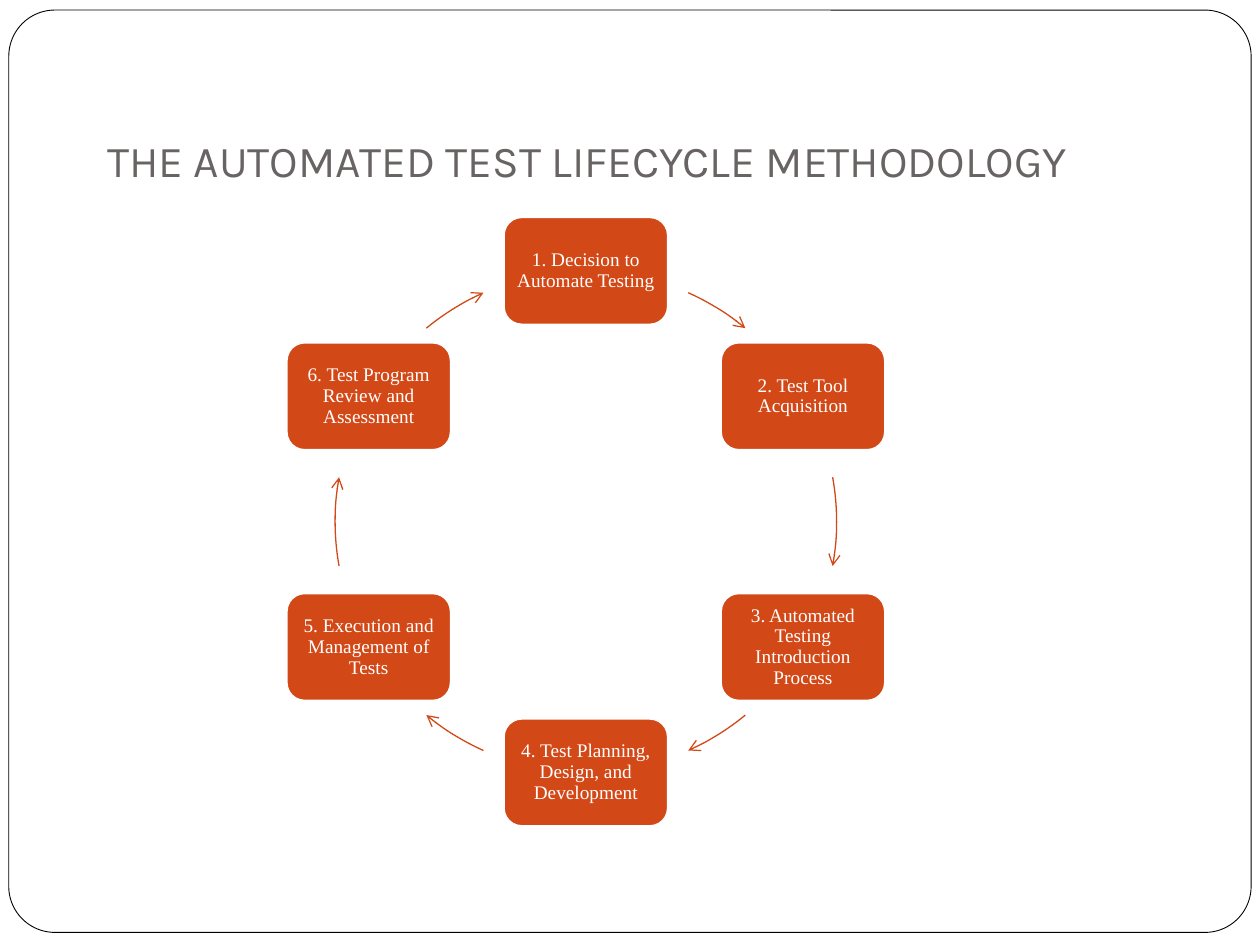
from math import cos, radians, sin

from lxml import etree
from pptx import Presentation
from pptx import util as u
from pptx.dml.color import RGBColor
from pptx.enum import shapes, text
from pptx.oxml.ns import qn

# Content
TITLE = "THE AUTOMATED TEST LIFECYCLE METHODOLOGY"
STEPS = [
    "1. Decision to Automate Testing",
    "2. Test Tool Acquisition",
    "3. Automated Testing Introduction Process",
    "4. Test Planning, Design, and Development",
    "5. Execution and Management of Tests",
    "6. Test Program Review and Assessment",
]
# Degrees clockwise from the top, where each arrow starts and ends
ARROWS = [(24.1, 39.5), (79.8, 100.2), (140.5, 155.9),
          (204.1, 219.5), (259.8, 280.2), (320.5, 335.9)]

# Layout in inches
SLIDE_WIDTH, SLIDE_HEIGHT = 10, 7.5
CENTER_X, CENTER_Y, RADIUS = 4.65, 4.14, 1.99
BOX_WIDTH, BOX_HEIGHT = 1.3, 0.85
ORANGE, GRAY, WHITE, BLACK = "D34817", "696464", "FFFFFF", "000000"


def color(hex_value):
    return RGBColor.from_string(hex_value)


def write(shape, words, size, font, ink, align, anchor, insets, spacing=1.0):
    frame = shape.text_frame
    frame.word_wrap = True
    frame.auto_size = text.MSO_AUTO_SIZE.NONE
    frame.vertical_anchor = anchor
    (frame.margin_left, frame.margin_top,
     frame.margin_right, frame.margin_bottom) = map(u.Inches, insets)
    paragraph = frame.paragraphs[0]
    paragraph.alignment = align
    paragraph.line_spacing = spacing
    run = paragraph.add_run()
    run.text = words
    run.font.size, run.font.name = u.Pt(size), font
    run.font.color.rgb = color(ink)


def add_shape(slide, kind, left, top, width, height, line, weight, fill=None):
    shape = slide.shapes.add_shape(kind, *map(u.Inches, (left, top, width, height)))
    shape.shadow.inherit = False
    if fill:
        shape.fill.solid()
        shape.fill.fore_color.rgb = color(fill)
    else:
        shape.fill.background()
    shape.line.color.rgb = color(line)
    shape.line.width = u.Pt(weight)
    return shape


def add_step(slide, index, words):
    angle = radians(index * 360 / len(STEPS))
    left = CENTER_X + RADIUS * sin(angle) - BOX_WIDTH / 2
    top = CENTER_Y - RADIUS * cos(angle) - BOX_HEIGHT / 2
    box = add_shape(slide, shapes.MSO_SHAPE.ROUNDED_RECTANGLE, left, top,
                    BOX_WIDTH, BOX_HEIGHT, WHITE, 1, ORANGE)
    write(box, words, 11, "Times New Roman", WHITE, text.PP_ALIGN.CENTER,
          text.MSO_ANCHOR.MIDDLE, [0.05] * 4, 0.9)


def add_arrow(slide, angles):
    arc = add_shape(slide, shapes.MSO_SHAPE.ARC, CENTER_X - RADIUS, CENTER_Y - RADIUS,
                    2 * RADIUS, 2 * RADIUS, ORANGE, 0.75)
    # Arc angles count from the right, in units of 0.6 per degree
    for index, angle in enumerate(angles):
        arc.adjustments[index] = (angle - 90) % 360 * 0.6
    line = arc.line._get_or_add_ln()
    etree.SubElement(line, qn("a:tailEnd"), type="arrow")


def main():
    presentation = Presentation()
    presentation.slide_width = u.Inches(SLIDE_WIDTH)
    presentation.slide_height = u.Inches(SLIDE_HEIGHT)
    slide = presentation.slides.add_slide(presentation.slide_layouts[5])

    # Rounded border around the slide
    border = add_shape(slide, shapes.MSO_SHAPE.ROUNDED_RECTANGLE,
                       0.07, 0.08, 9.86, 7.32, BLACK, 0.5)
    border.adjustments[0] = 0.05

    # Title
    title = slide.shapes.title
    title.left, title.top, title.width, title.height = map(
        u.Inches, (0.75, 0.58, 8.25, 1))
    write(title, TITLE, 25.2, "Karla", GRAY, text.PP_ALIGN.LEFT,
          text.MSO_ANCHOR.BOTTOM, (0.1, 0.05, 0.1, 0.1))

    # Cycle of steps, each followed by its arrow
    for index, (words, angles) in enumerate(zip(STEPS, ARROWS)):
        add_step(slide, index, words)
        add_arrow(slide, angles)

    presentation.save("out.pptx")


if __name__ == "__main__":
    main()
